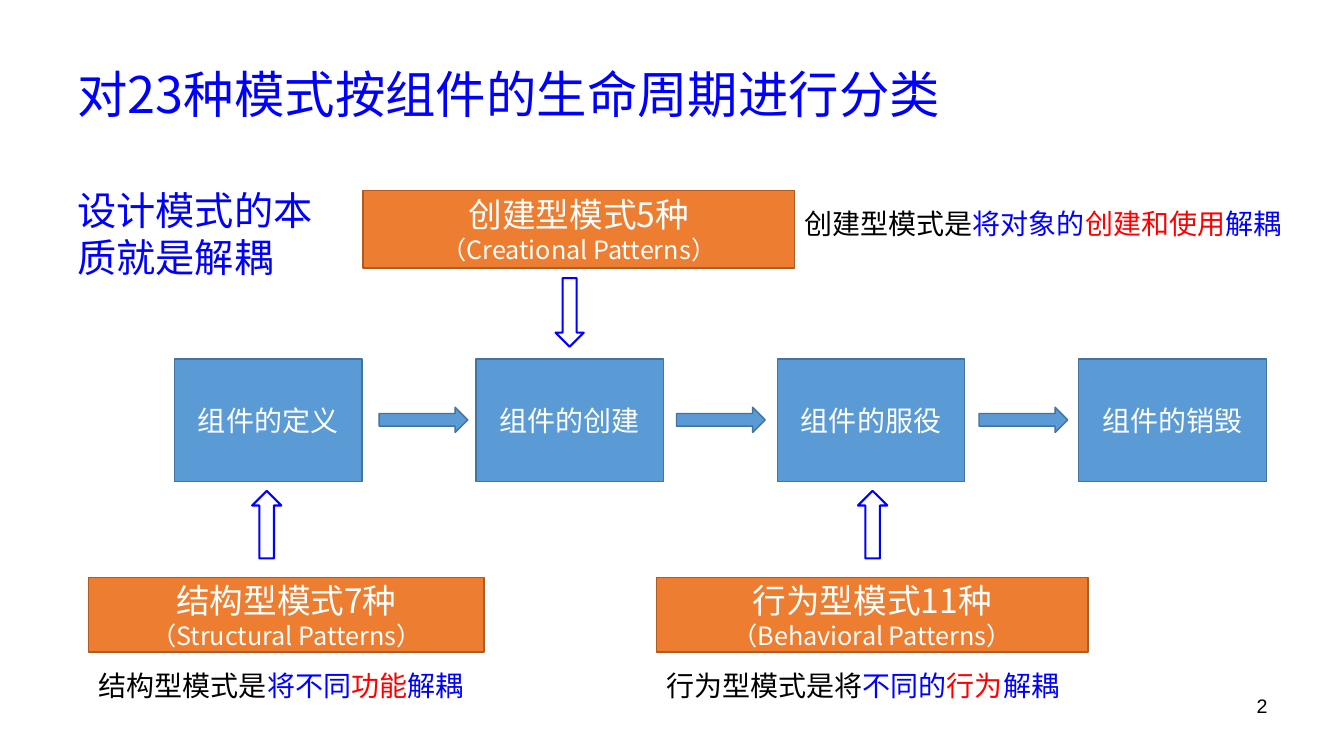
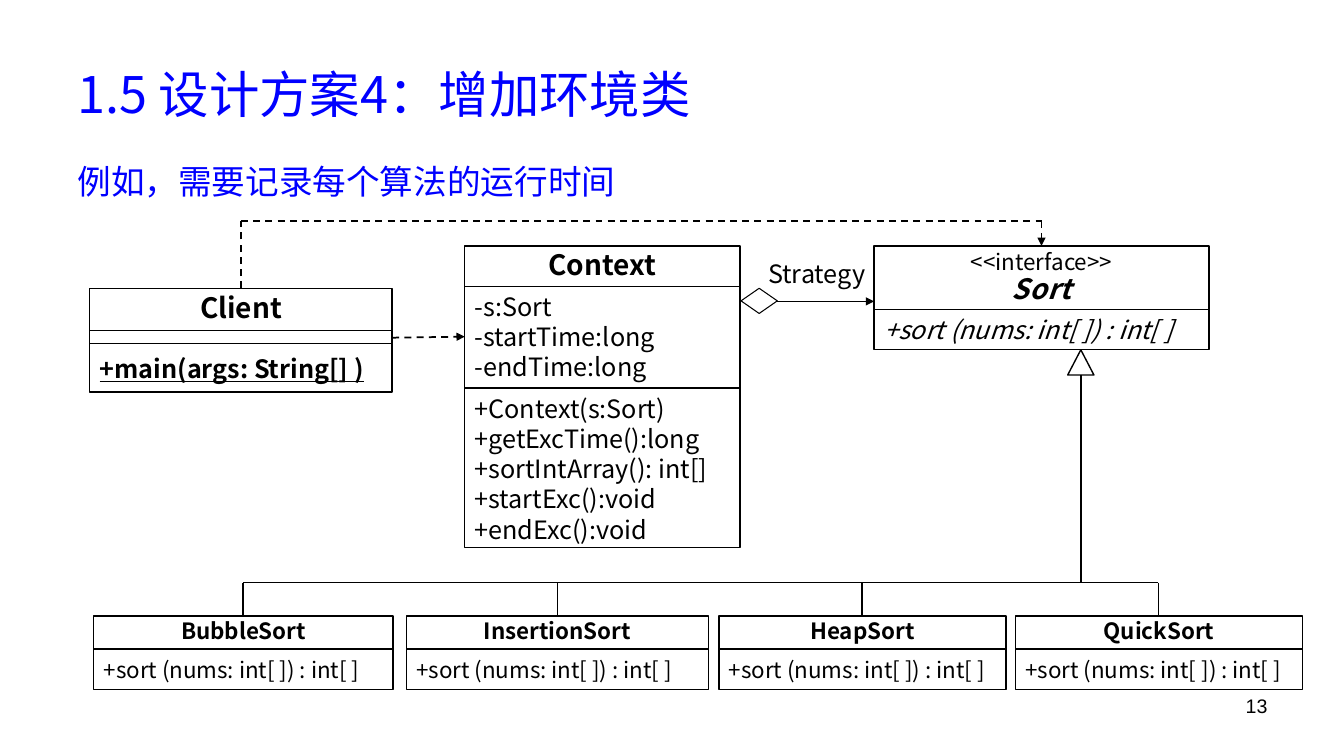
from lxml import etree
from pptx import Presentation
from pptx import util as u
from pptx.dml.color import RGBColor
from pptx.enum import dml, shapes, text
from pptx.oxml.ns import qn

PX = 9144  # 100 px to the inch
FONT, NUMBER_FONT = "Noto Sans CJK SC", "Arial"
BLACK, WHITE, BLUE, RED = "000000", "FFFFFF", "0000FF", "FF0000"
STAGE, STAGE_LINE = "5B9BD5", "43739E"
FAMILY, FAMILY_LINE = "ED7D31", "AF5C24"
LEFT, CENTER, RIGHT = text.PP_ALIGN.LEFT, text.PP_ALIGN.CENTER, text.PP_ALIGN.RIGHT
TOP, MIDDLE = text.MSO_ANCHOR.TOP, text.MSO_ANCHOR.MIDDLE
SHAPE = shapes.MSO_SHAPE

# Content: life cycle slide
STAGES = ["组件的定义", "组件的创建", "组件的服役", "组件的销毁"]
STAGE_LEFT, STAGE_STEP, STAGE_TOP, STAGE_W, STAGE_H = 173, 299, 356, 186, 122
STEP_ARROWS = [376, 671, 971]
FAMILIES = [  # box, heading, English name
    ((360, 189, 428, 77), "创建型模式5种", "（Creational Patterns）"),
    ((88, 573, 392, 74), "结构型模式7种", "（Structural Patterns）"),
    ((651, 573, 428, 74), "行为型模式11种", "（Behavioral Patterns）"),
]
FAMILY_ARROWS = [
    (SHAPE.DOWN_ARROW, (551, 276, 28, 68)),
    (SHAPE.UP_ARROW, (250, 487, 29, 67)),
    (SHAPE.UP_ARROW, (851, 487, 29, 67)),
]
CAPTIONS = [
    ((788, 200, 496, 44), [("创建型模式是", BLACK), ("将对象的", BLUE),
                           ("创建和使用", RED), ("解耦", BLUE)]),
    ((88, 658, 458, 44), [("结构型模式是", BLACK), ("将不同", BLUE),
                          ("功能", RED), ("解耦", BLUE)]),
    ((651, 658, 436, 44), [("行为型模式是将", BLACK), ("不同的", BLUE),
                           ("行为", RED), ("解耦", BLUE)]),
]

# Content: class diagram slide; a compartment is (height, lines, size, style, options)
HEAD = dict(align=CENTER, spacing=0.9)
CLASSES = [  # left, top, width, compartments
    (89, 286, 300, [(42, ["Client"], 20, "b", HEAD),
                    (13, [], 18, "", {}),
                    (48, ["+main(args: String[] )"], 18, "bu", {})]),
    (461, 244, 273, [
        (40, ["Context"], 20, "b", dict(HEAD, anchor=TOP)),
        (101, ["-s:Sort", "-startTime:long", "-endTime:long"], 18, "", dict(anchor=TOP)),
        (158, ["+Context(s:Sort)", "+getExcTime():long", "+sortIntArray(): int[]",
               "+startExc():void", "+endExc():void"], 18, "", dict(anchor=TOP))]),
]
SORT_METHOD = "+sort (nums: int[ ]) : int[ ]"
SORTERS = [  # name, left, width, junction
    ("BubbleSort", 93, 297, 241), ("InsertionSort", 403, 300, 553),
    ("HeapSort", 713, 285, 855), ("QuickSort", 1007, 285, 1149),
]
SORTER_TOP, BUS_Y, TRUNK_X, TRIANGLE_BOTTOM = 611, 578, 1072, 372


def px(*lengths):
    return [u.Emu(length * PX) for length in lengths]


def color(value):
    return RGBColor.from_string(value)


def span(value, size, ink=BLACK, style="", font=FONT):
    return value, size, ink, style, font


def write(box, paras, align=LEFT, anchor=TOP, spacing=1.0, wrap=True):
    """Fill a box with paragraphs, each a list of spans."""
    frame = box.text_frame
    frame.word_wrap = wrap
    frame.vertical_anchor = anchor
    for index, spans in enumerate(paras):
        para = frame.paragraphs[0] if index == 0 else frame.add_paragraph()
        para.alignment = align
        if anchor == TOP or len(paras) > 1:
            para.line_spacing = u.Pt(round(1.2 * spacing * spans[0][1], 1))
        else:
            para.line_spacing = spacing
        for value, size, ink, style, font in spans:
            run = para.add_run()
            run.text = value
            run.font.size = u.Pt(size)
            run.font.name = font
            run.font.color.rgb = color(ink)
            run.font.bold = "b" in style
            run.font.italic = "i" in style
            run.font.underline = "u" in style
            east_asian = etree.SubElement(run.font._element, qn("a:ea"))
            east_asian.set("typeface", font)


def add_text(page, box, paras, **options):
    write(page.shapes.add_textbox(*px(*box)), paras, **options)


def add_block(page, kind, box, fill, line, weight=1.0, paras=(), **options):
    shape = page.shapes.add_shape(kind, *px(*box))
    shape.shadow.inherit = False
    if fill:
        shape.fill.solid()
        shape.fill.fore_color.rgb = color(fill)
    else:
        shape.fill.background()
    shape.line.color.rgb = color(line)
    shape.line.width = u.Pt(weight)
    write(shape, paras, **{"anchor": MIDDLE, **options})


def add_route(page, points, weight=1.0, dashed=False, arrow=False):
    """Join the points with straight legs; the arrow sits on the last one."""
    legs = list(zip(points, points[1:]))
    for index, (start, end) in enumerate(legs):
        leg = page.shapes.add_connector(shapes.MSO_CONNECTOR.STRAIGHT, *px(*start, *end))
        leg.line.color.rgb = color(BLACK)
        leg.line.width = u.Pt(weight)
        if dashed:
            leg.line.dash_style = dml.MSO_LINE.DASH
        if arrow and index == len(legs) - 1:
            tail = etree.SubElement(leg.line._get_or_add_ln(), qn("a:tailEnd"))
            tail.set("type", "triangle")
        etree.SubElement(leg._element.spPr, qn("a:effectLst"))


def add_class(page, left, top, width, compartments):
    for height, lines, size, style, options in compartments:
        paras = [[span(line, size, style=style)] for line in lines]
        add_block(page, SHAPE.RECTANGLE, (left, top, width, height), WHITE, BLACK,
                  paras=paras, **options)
        top += height


def add_page(deck, title, number):
    page = deck.slides.add_slide(deck.slide_layouts[6])
    add_text(page, (67, 30, 1200, 125), [[span(title, 36, BLUE)]], anchor=MIDDLE)
    add_text(page, (956, 683, 311, 52), [[span(number, 14, font=NUMBER_FONT)]], align=RIGHT)
    return page


def build_life_cycle(deck):
    page = add_page(deck, "对23种模式按组件的生命周期进行分类", "2")
    add_text(page, (67, 180, 287, 104), [[span("设计模式的本质就是解耦", 28, BLUE)]])
    # Stages and the arrows between them
    for index, stage in enumerate(STAGES):
        box = (STAGE_LEFT + index * STAGE_STEP, STAGE_TOP, STAGE_W, STAGE_H)
        add_block(page, SHAPE.RECTANGLE, box, STAGE, STAGE_LINE,
                  paras=[[span(stage, 20, WHITE)]], align=CENTER)
    for left in STEP_ARROWS:
        add_block(page, SHAPE.RIGHT_ARROW, (left, 404, 88, 25), STAGE, STAGE_LINE)
    # Pattern families
    for box, heading, english in FAMILIES:
        add_block(page, SHAPE.RECTANGLE, box, FAMILY, FAMILY_LINE, align=CENTER,
                  paras=[[span(heading, 24, WHITE)], [span(english, 18, WHITE)]])
    for kind, box in FAMILY_ARROWS:
        add_block(page, kind, box, None, BLUE, 1.5)
    for box, parts in CAPTIONS:
        add_text(page, box, [[span(value, 20, ink) for value, ink in parts]])


def build_class_diagram(deck):
    page = add_page(deck, "1.5 设计方案4：增加环境类", "13")
    add_text(page, (67, 155, 559, 50),
             [[span("例如，需要记录每个算法的运行时间", 24, BLUE)]], wrap=False)
    # Classes
    for left, top, width, compartments in CLASSES:
        add_class(page, left, top, width, compartments)
    for name, left, width, _ in SORTERS:
        add_class(page, left, SORTER_TOP, width,
                  [(33, [name], 16, "b", HEAD), (40, [SORT_METHOD], 16, "", {})])
    # Interface
    add_block(page, SHAPE.RECTANGLE, (867, 244, 332, 63), WHITE, BLACK, **HEAD,
              paras=[[span("<<interface>>", 16)], [span("Sort", 20, style="bi")]])
    add_class(page, 867, 307, 332, [(40, [SORT_METHOD], 18, "i", {})])
    # Inheritance
    add_block(page, SHAPE.ISOSCELES_TRIANGLE, (1059, 347, 26, 25), WHITE, BLACK)
    add_route(page, [(TRUNK_X, TRIANGLE_BOTTOM), (TRUNK_X, BUS_Y)])
    junctions = [sorter[3] for sorter in SORTERS]
    add_route(page, [(junctions[0], BUS_Y), (junctions[-1], BUS_Y)])
    for junction in junctions:
        add_route(page, [(junction, BUS_Y), (junction, SORTER_TOP)])
    # Dependencies
    add_route(page, [(389, 335), (461, 334)], 1.25, dashed=True, arrow=True)
    add_route(page, [(239, 286), (239, 219), (1033, 219), (1033, 244)], 1.25,
              dashed=True, arrow=True)
    # Aggregation
    add_block(page, SHAPE.FLOWCHART_DECISION, (735, 286, 36, 25), None, BLACK, 0.75)
    add_route(page, [(771, 299), (867, 299)], arrow=True)
    add_text(page, (752, 251, 120, 40), [[span("Strategy", 18)]], wrap=False)


def main():
    deck = Presentation()
    deck.slide_width, deck.slide_height = px(1333, 750)
    build_life_cycle(deck)
    build_class_diagram(deck)
    deck.save("out.pptx")


if __name__ == "__main__":
    main()
